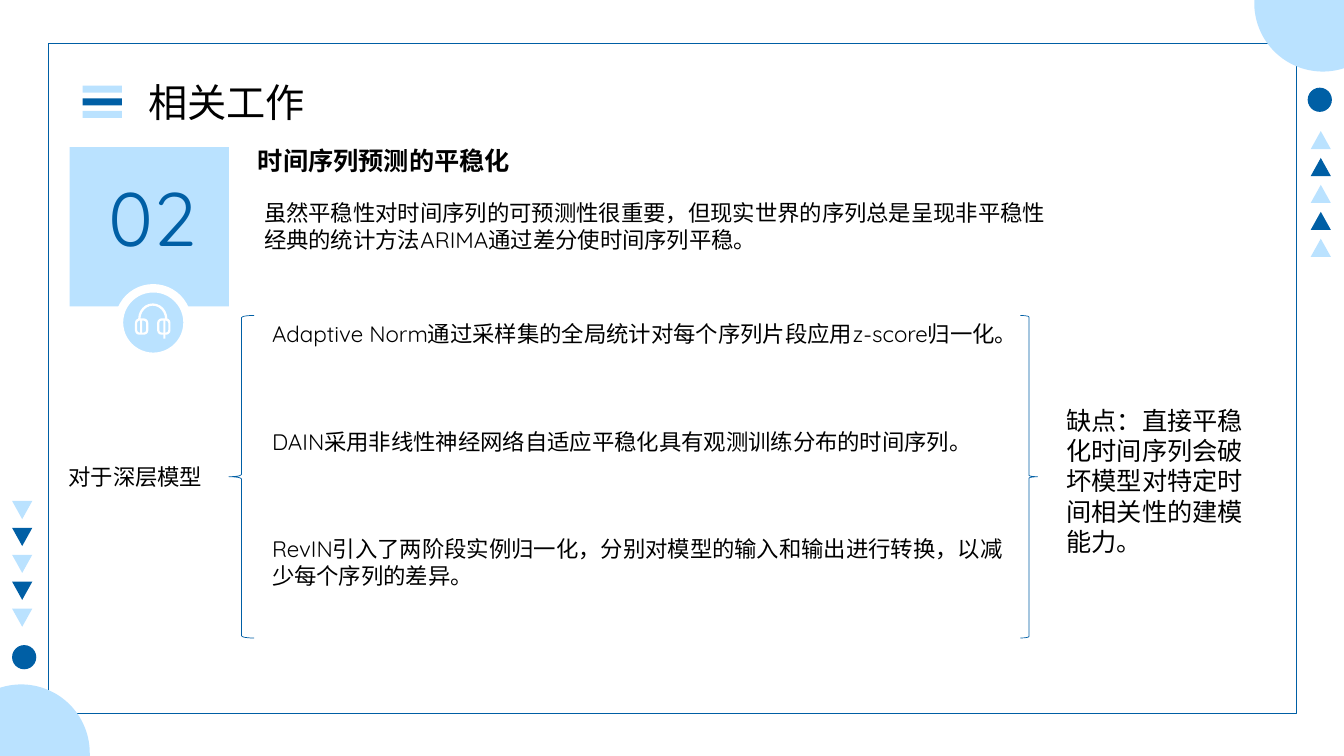
from math import acos, cos, pi, sin

from pptx import Presentation
from pptx.dml.color import RGBColor
from pptx.enum.shapes import MSO_SHAPE as SHAPE
from pptx.enum.text import PP_ALIGN as ALIGN
from pptx.util import Inches, Pt

LIGHT, DARK, WHITE, BLACK = "BAE2FF", "005FA5", "FFFFFF", "000000"
W, H = 13.33, 7.5

prs = Presentation()
prs.slide_width, prs.slide_height = Inches(W), Inches(H)
s = prs.slides.add_slide(prs.slide_layouts[6])


def paint(sp, fill=None, line=None, width=1):
    sp.shadow.inherit = False
    for part, color in ((sp.fill, fill), (sp.line.fill, line)):
        if color:
            part.solid()
            part.fore_color.rgb = RGBColor.from_string(color)
        else:
            part.background()
    if line:
        sp.line.width = Pt(width)
    return sp


def add_text(box, lines, size, color=BLACK, bold=False, align=ALIGN.LEFT, gap=0, inset=True):
    tf = s.shapes.add_textbox(*map(Inches, box)).text_frame
    tf.word_wrap = True
    if not inset:
        tf.margin_left = tf.margin_right = tf.margin_top = tf.margin_bottom = 0
    for i, line in enumerate(lines):
        p = tf.paragraphs[0] if i == 0 else tf.add_paragraph()
        p.text = line
        p.alignment = align
        p.space_before = Pt(gap if i else 0)
        p.font.name, p.font.size, p.font.bold = "Quicksand", Pt(size), bold
        p.font.color.rgb = RGBColor.from_string(color)


# Frame
paint(s.shapes.add_shape(SHAPE.RECTANGLE, Inches(0.48), Inches(0.43), Inches(12.38), Inches(6.65)),
      line=DARK)

# Corner discs, cut at the slide edges
cx, cy, radius = 13.12, 0.03, 0.68
end = acos((W - cx) / radius)
arc = [(cx + radius * cos(a), cy + radius * sin(a))
       for a in (pi + (end - pi) * i / 60 for i in range(61))]
top_right = [(cx - radius, 0), *arc, (W, 0)]
bottom_left = [(W - x, H - y) for x, y in top_right]
for outline in (top_right, bottom_left):
    points = [(Inches(x), Inches(y)) for x, y in outline]
    builder = s.shapes.build_freeform(*points[0])
    builder.add_line_segments(points[1:])
    paint(builder.convert_to_shape(), LIGHT)

# Triangle columns with a dot at the outer end
for x, top, dot_x, dot_y, turn in ((13, 1.3, 12.97, 0.87, 0), (0.12, 4.97, 0.12, 6.4, 180)):
    for i in range(5):
        sp = s.shapes.add_shape(SHAPE.ISOSCELES_TRIANGLE, Inches(x), Inches(top + i * 0.267),
                                Inches(0.2), Inches(0.18))
        sp.rotation = turn
        paint(sp, DARK if i % 2 else LIGHT)
    paint(s.shapes.add_shape(SHAPE.OVAL, Inches(dot_x), Inches(dot_y), Inches(0.24), Inches(0.24)),
          DARK)

# Title with its three bars
for i, color in enumerate((LIGHT, DARK, LIGHT)):
    paint(s.shapes.add_shape(SHAPE.RECTANGLE, Inches(0.82), Inches(0.85 + i * 0.125),
                             Inches(0.39), Inches(0.07)), color)
add_text((1.47, 0.78, 3.6, 0.47), ["相关工作"], 28, inset=False)

# Number card with headphones badge
paint(s.shapes.add_shape(SHAPE.RECTANGLE, Inches(0.69), Inches(1.46), Inches(1.58), Inches(1.58)),
      LIGHT)
paint(s.shapes.add_shape(SHAPE.OVAL, Inches(1.18), Inches(2.86), Inches(0.68), Inches(0.68)),
      LIGHT, WHITE, 6)
band = paint(s.shapes.add_shape(SHAPE.BLOCK_ARC, Inches(1.37), Inches(3.01),
                                Inches(0.29), Inches(0.31)), WHITE)
band.adjustments[2] = 0.08
for cup_x, bar_x in ((1.35, 1.39), (1.57, 1.62)):
    cup = s.shapes.add_shape(SHAPE.ROUNDED_RECTANGLE, Inches(cup_x), Inches(3.17),
                             Inches(0.11), Inches(0.14))
    cup.adjustments[0] = 0.3
    paint(cup, line=WHITE, width=1.6)
    paint(s.shapes.add_shape(SHAPE.RECTANGLE, Inches(bar_x), Inches(3.17),
                             Inches(0.02), Inches(0.14)), WHITE)
paint(s.shapes.add_shape(SHAPE.RECTANGLE, Inches(1.62), Inches(3.31), Inches(0.02), Inches(0.05)),
      WHITE)
add_text((0.9, 1.65, 1.22, 1.01), ["02"], 54, DARK, align=ALIGN.CENTER)

# Heading and introduction
add_text((2.46, 1.39, 3.9, 0.4), ["时间序列预测的平稳化"], 18, bold=True)
add_text((2.52, 1.93, 8.95, 0.64),
         ["虽然平稳性对时间序列的可预测性很重要，但现实世界的序列总是呈现非平稳性",
          "经典的统计方法ARIMA通过差分使时间序列平稳。"], 16)

# Deep model methods between braces
add_text((0.58, 4.55, 1.82, 0.37), ["对于深层模型"], 16)
for brace, x, width in ((SHAPE.LEFT_BRACE, 2.27, 0.25), (SHAPE.RIGHT_BRACE, 10.12, 0.17)):
    paint(s.shapes.add_shape(brace, Inches(x), Inches(3.13), Inches(width), Inches(3.2)),
          line=DARK, width=0.5)
add_text((2.6, 3.13, 7.5, 2.79),
         ["Adaptive Norm通过采样集的全局统计对每个序列片段应用z-score归一化。",
          "DAIN采用非线性神经网络自适应平稳化具有观测训练分布的时间序列。",
          "RevIN引入了两阶段实例归一化，分别对模型的输入和输出进行转换，以减少每个序列的差异。"],
         16, gap=57.5)

# Drawback
add_text((10.48, 3.97, 2.13, 1.61),
         ["缺点：直接平稳化时间序列会破坏模型对特定时间相关性的建模能力。"], 18)

prs.save("out.pptx")
